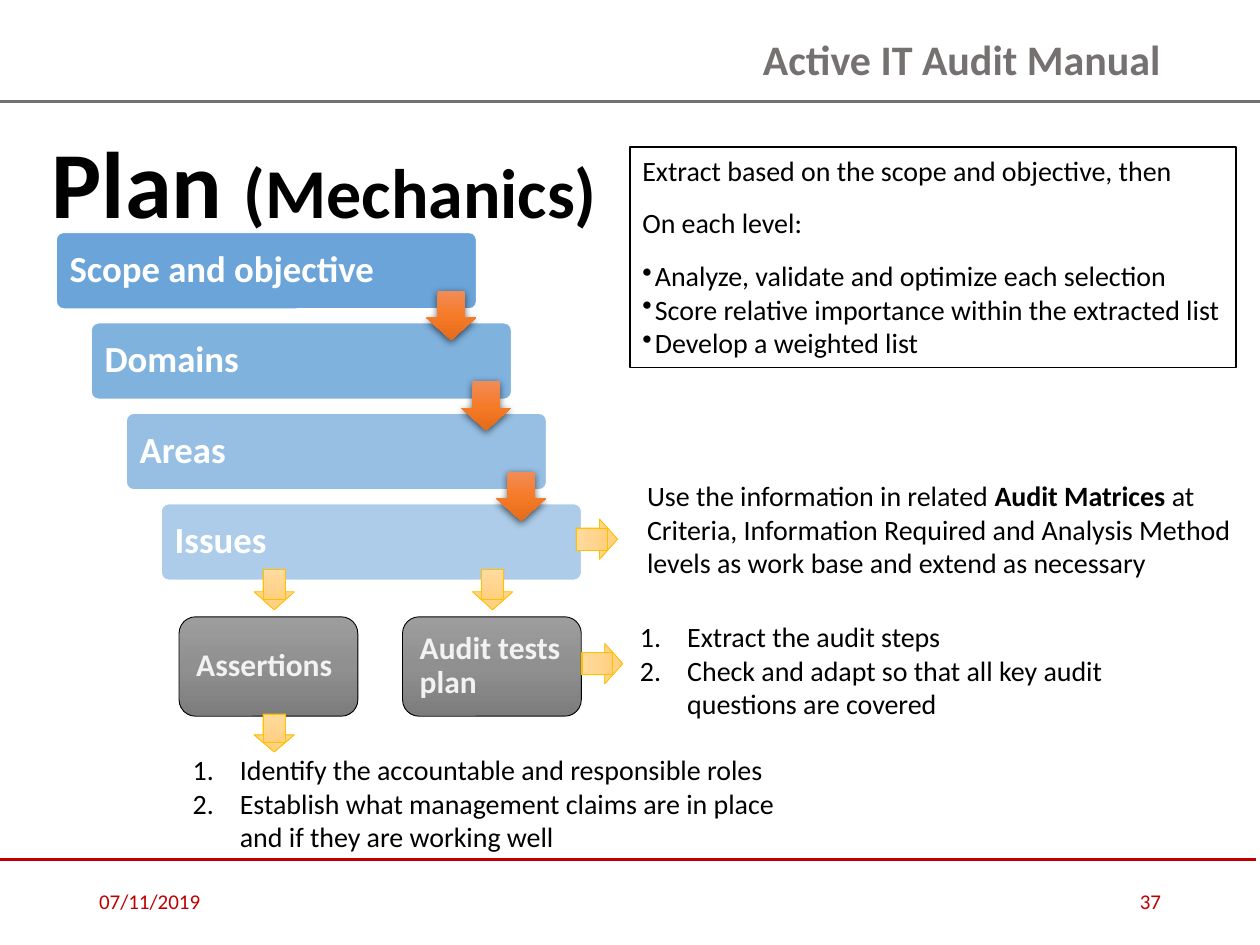
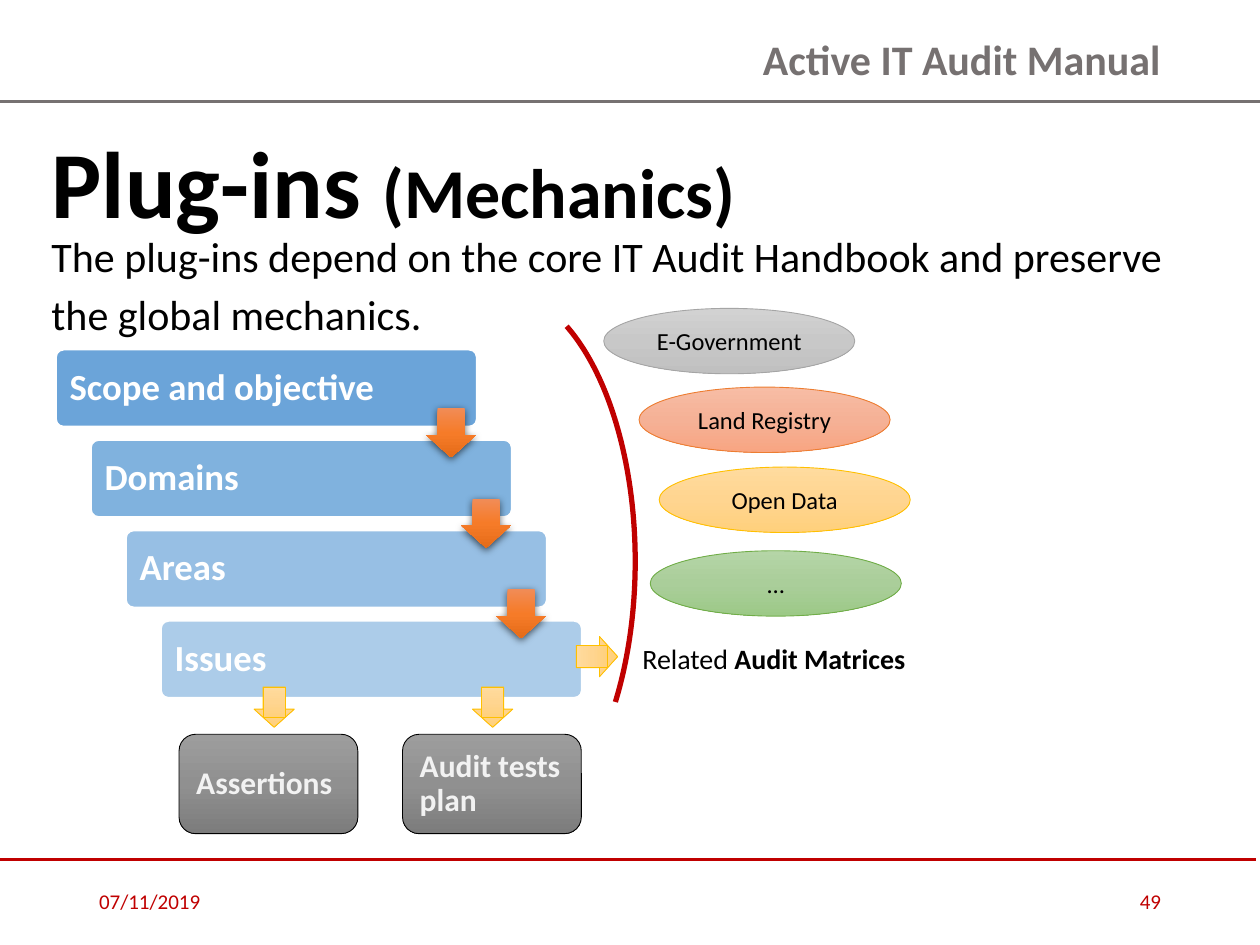
"""Builds two audit manual slides that show the planning cascade and its plug-ins."""
from dataclasses import dataclass
from typing import NamedTuple

from lxml.etree import SubElement
from pptx import Presentation
from pptx.dml.color import RGBColor
from pptx.enum.shapes import MSO_CONNECTOR, MSO_SHAPE
from pptx.enum.text import MSO_ANCHOR, MSO_AUTO_SIZE, PP_ALIGN
from pptx.oxml.ns import qn
from pptx.util import Pt


@dataclass(frozen=True)
class Theme:
    """Holds the colours, gradients and type sizes of the deck."""
    font: str = "Calibri"
    black: str = "000000"
    white: str = "FFFFFF"
    pale: str = "F2F2F2"
    grey: str = "767171"
    red: str = "C00000"
    blue: str = "5B9BD5"
    gold: str = "FFC000"
    orange_fill: tuple = ("F18C57", "F67B28", "E56C19")
    gold_fill: tuple = ("FFDB9E", "FFD590", "FFD07C")
    dark_fill: tuple = ("9D9D9D", "909090", "7C7C7C")
    silver_fill: tuple = ("D2D2D2", "C8C8C8", "C0C0C0")
    coral_fill: tuple = ("F7BDA5", "F5B196", "F8A582")
    green_fill: tuple = ("B5D5A7", "AACE9A", "9CC987")
    title: int = 54
    subtitle: int = 40
    header: int = 24
    level: int = 21
    result: int = 18
    body: int = 16
    plugin: int = 14
    footer: int = 12


class Box(NamedTuple):
    """A rectangle in points."""
    x: float
    y: float
    w: float
    h: float

    def inner(self, dx, dy, w, h):
        """Return a box placed from this box's top left corner."""
        return Box(self.x + dx, self.y + dy, w, h)

    def lengths(self):
        """Return left, top, width and height as lengths."""
        return [Pt(v) for v in self]


T = Theme()
ARROW = 23
ARROW_ADJ = (0.55, 0.45)
NUMBERED = ("buAutoNum", {"type": "arabicPeriod"}, 27)
BULLETED = ("buChar", {"char": "•"}, 7.2)


def apply(obj, values):
    """Set each attribute of an object from a dict."""
    for name, value in values.items():
        setattr(obj, name, value)


def add_bullet(p, bullet):
    """Give a paragraph a hanging bullet or number."""
    tag, attrs, indent = bullet
    pPr = p._p.get_or_add_pPr()
    pPr.set("marL", str(Pt(indent)))
    pPr.set("indent", str(-Pt(indent)))
    SubElement(pPr, qn(f"a:{tag}"), attrs)


def add_paragraph(tf, runs, size=T.body, color=T.black, bold=False, bullet=None, **fmt):
    """Fill the next paragraph from a string or a list of (text, font changes)."""
    p = tf.paragraphs[0]
    if p.runs:
        p = tf.add_paragraph()
    apply(p, {"alignment": PP_ALIGN.LEFT, **fmt})
    if bullet:
        add_bullet(p, bullet)
    for text, changes in [(runs, {})] if isinstance(runs, str) else runs:
        for i, line in enumerate(text.split("\n")):
            if i:
                p.add_line_break()
            r = p.add_run()
            r.text = line
            apply(r.font, {"name": T.font, "size": Pt(size), "bold": bold, **changes})
            r.font.color.rgb = RGBColor.from_string(color)


def add_text(slide, box, paragraphs, anchor=MSO_ANCHOR.TOP, **fmt):
    """Add a wrapping text box with one or more paragraphs."""
    tf = slide.shapes.add_textbox(*box.lengths()).text_frame
    apply(tf, {"word_wrap": True, "vertical_anchor": anchor})
    for runs in paragraphs:
        add_paragraph(tf, runs, **fmt)


def paint(sp, fill, alpha):
    """Fill a shape with a colour, a vertical gradient or nothing."""
    if fill is None:
        sp.fill.background()
    elif isinstance(fill, tuple):
        sp.fill.gradient()
        sp.fill.gradient_angle = 270
        stops = sp._element.spPr.find(qn("a:gradFill")).find(qn("a:gsLst"))
        stops.clear()
        for i, color in enumerate(fill):
            gs = SubElement(stops, qn("a:gs"), pos=str(i * 50000))
            SubElement(gs, qn("a:srgbClr"), val=color)
    else:
        sp.fill.solid()
        sp.fill.fore_color.rgb = RGBColor.from_string(fill)
        if alpha < 100:
            clr = sp._element.spPr.find(qn("a:solidFill"))[0]
            SubElement(clr, qn("a:alpha"), val=str(alpha * 1000))


def add_shape(slide, kind, box, fill, line=None, width=0.5, adj=(), alpha=100, rotation=0):
    """Add a preset shape without the default shadow."""
    sp = slide.shapes.add_shape(kind, *box.lengths())
    sp.rotation = rotation
    sp.shadow.inherit = False
    for i, value in enumerate(adj):
        sp.adjustments[i] = value
    paint(sp, fill, alpha)
    if line:
        sp.line.color.rgb = RGBColor.from_string(line)
        sp.line.width = Pt(width)
    else:
        sp.line.fill.background()
    apply(sp.text_frame, {"word_wrap": True, "vertical_anchor": MSO_ANCHOR.MIDDLE})
    return sp


def add_rule(slide, x, y, w, color):
    """Add a horizontal rule."""
    line = slide.shapes.add_connector(MSO_CONNECTOR.STRAIGHT, Pt(x), Pt(y), Pt(x + w), Pt(y))
    line.line.color.rgb = RGBColor.from_string(color)
    line.line.width = Pt(1.5)
    SubElement(line._element.spPr, qn("a:effectLst"))


def add_step_arrow(slide, box):
    """Add the shadowed orange arrow between two levels."""
    sp = add_shape(slide, MSO_SHAPE.DOWN_ARROW, box, T.orange_fill, adj=ARROW_ADJ)
    effects = sp._element.spPr.find(qn("a:effectLst"))
    shadow = SubElement(effects, qn("a:outerShdw"), blurRad=str(Pt(4.5)),
                        dist=str(Pt(1.5)), dir="5400000", rotWithShape="0")
    clr = SubElement(shadow, qn("a:srgbClr"), val=T.black)
    SubElement(clr, qn("a:alpha"), val="63000")


def add_result_arrow(slide, box, right=False):
    """Add a golden arrow with its stem, pointing down or right."""
    stem_w, stem_h = box.w * 0.55, box.h * 0.75
    stem = box.inner((box.w - stem_w) / 2, 0, stem_w, stem_h)
    if right:
        stem = box.inner((stem_h - stem_w) / 2, (box.h - stem_h) / 2, stem_w, stem_h)
    look = {"fill": T.gold_fill, "line": T.gold, "rotation": 270 if right else 0}
    add_shape(slide, MSO_SHAPE.DOWN_ARROW, box, adj=ARROW_ADJ, **look)
    add_shape(slide, MSO_SHAPE.RECTANGLE, stem, **look)


def add_frame(prs, topic, page):
    """Add a slide with its title, header and footer."""
    slide = prs.slides.add_slide(prs.slide_layouts[5])
    title = slide.shapes.title
    box = Box(22.3, 67, 330 if len(topic) < 6 else 410, 72.7)
    apply(title, dict(zip(("left", "top", "width", "height"), box.lengths())))
    tf = title.text_frame
    apply(tf, {"word_wrap": False, "auto_size": MSO_AUTO_SIZE.NONE,
               "vertical_anchor": MSO_ANCHOR.TOP})
    add_paragraph(tf, [(f"{topic} ", {}), ("(Mechanics)", {"size": Pt(T.subtitle)})],
                  T.title, bold=True)
    middle = {"anchor": MSO_ANCHOR.MIDDLE}
    add_text(slide, Box(303, 12.2, 367.3, 46), ["Active IT Audit Manual"], size=T.header,
             color=T.grey, bold=True, alignment=PP_ALIGN.RIGHT, line_spacing=0.9, **middle)
    add_rule(slide, 0, 58, 720, T.grey)
    add_rule(slide, -2, 491, 720, T.red)
    footer = {"size": T.footer, "color": T.red, **middle}
    add_text(slide, Box(49.5, 500.5, 162, 28.75), ["07/11/2019"], **footer)
    add_text(slide, Box(508.5, 500.5, 162, 28.75), [page],
             alignment=PP_ALIGN.RIGHT, **footer)
    return slide


def add_cascade(slide, box):
    """Add the four levels, their arrows and the two results."""
    levels = {"Scope and objective": 90, "Domains": 77, "Areas": 63, "Issues": 50}
    bars = [box.inner(20 * i, 51.67 * i, 240.5, 44) for i in range(len(levels))]
    for bar, (name, alpha) in zip(bars, levels.items()):
        sp = add_shape(slide, MSO_SHAPE.ROUNDED_RECTANGLE, bar, T.blue, T.white, 1,
                       (0.1,), alpha)
        sp.text_frame.margin_left = Pt(6.5)
        add_paragraph(sp.text_frame, name, T.level, T.white, True, line_spacing=0.9)
    for bar in bars[:-1]:
        add_step_arrow(slide, bar.inner(211.7, 33.4, 28.2, 28.2))
    for dx, name in ((70.3, "Assertions"), (198, "Audit tests plan")):
        sp = add_shape(slide, MSO_SHAPE.ROUNDED_RECTANGLE, box.inner(dx, 219.8, 102.2, 56.8),
                       T.dark_fill, T.black)
        add_paragraph(sp.text_frame, name, T.result, T.pale, True, line_spacing=0.9)
    for dx in (113.2, 238):
        add_result_arrow(slide, box.inner(dx, 192.8, ARROW, ARROW))
    add_result_arrow(slide, box.inner(297.6, 163.6, ARROW, 23.6), right=True)


def add_extraction_box(slide, box):
    """Add the outlined box that explains the extraction."""
    tf = add_shape(slide, MSO_SHAPE.RECTANGLE, box, T.white, T.black, 1).text_frame
    tf.vertical_anchor = MSO_ANCHOR.TOP
    for text in ("Extract based on the scope and objective, then", "On each level:"):
        add_paragraph(tf, text, space_after=Pt(11))
    for text in ("Analyze, validate and optimize each selection",
                 "Score relative importance within the extracted list",
                 "Develop a weighted list"):
        add_paragraph(tf, text, bullet=BULLETED)


def add_plugins(slide, box):
    """Add the plug-in ellipses along the curve."""
    plugins = (
        (0, 0, "E-Government", T.silver_fill, "A5A5A5"),
        (20.2, 45, "Land Registry", T.coral_fill, "ED7D31"),
        (31.7, 90.7, "Open Data", T.gold_fill, T.gold),
        (26.6, 138.5, "…", T.green_fill, "70AD47"),
    )
    for dx, dy, name, fill, line in plugins:
        sp = add_shape(slide, MSO_SHAPE.OVAL, box.inner(dx, dy, 143.5, 37.4), fill, line)
        add_paragraph(sp.text_frame, name, T.plugin, alignment=PP_ALIGN.CENTER)


def build_plan(prs):
    """Build the slide on planning."""
    slide = add_frame(prs, "Plan", "37")
    cascade = Box(32, 132.7, 300, 276.6)
    add_cascade(slide, cascade)
    add_result_arrow(slide, cascade.inner(113.2, 275.4, ARROW, 21.6))
    add_result_arrow(slide, cascade.inner(300.6, 234.7, ARROW, 23.6), right=True)
    add_extraction_box(slide, Box(360, 84, 346.5, 126))
    add_text(slide, Box(362.7, 270, 357, 65.5), [[
        ("Use the information in related ", {}), ("Audit Matrices", {"bold": True}),
        (" at Criteria, Information Required and Analysis Method levels as work base"
         " and extend as necessary", {})]])
    add_text(slide, Box(358.6, 350.6, 303, 65.5),
             ["Extract the audit steps",
              "Check and adapt so that all key audit questions are covered"], bullet=NUMBERED)
    add_text(slide, Box(103, 426.5, 493, 65.5),
             ["Identify the accountable and responsible roles",
              "Establish what management claims are in place \nand if they are working well"],
             bullet=NUMBERED)


def build_plugins(prs):
    """Build the slide on plug-ins."""
    slide = add_frame(prs, "Plug-ins", "49")
    add_shape(slide, MSO_SHAPE.ARC, Box(206, 165.6, 157, 310.4), None, T.red, 3,
              (171.79, 30.07))
    add_text(slide, Box(22.3, 124, 663, 74),
             ["The plug-ins depend on the core IT Audit Handbook and preserve "
              "the global mechanics."], size=T.header, line_spacing=1.15)
    add_cascade(slide, Box(32, 199.8, 300, 276.6))
    add_text(slide, Box(360, 363, 171.4, 26.6),
             [[("Related ", {}), ("Audit Matrices", {"bold": True})]])
    add_plugins(slide, Box(345, 176.2, 175.2, 175.9))


def main():
    """Build and save the deck."""
    prs = Presentation()
    apply(prs, {"slide_width": Pt(720), "slide_height": Pt(540)})
    build_plan(prs)
    build_plugins(prs)
    prs.save("out.pptx")


if __name__ == "__main__":
    main()
